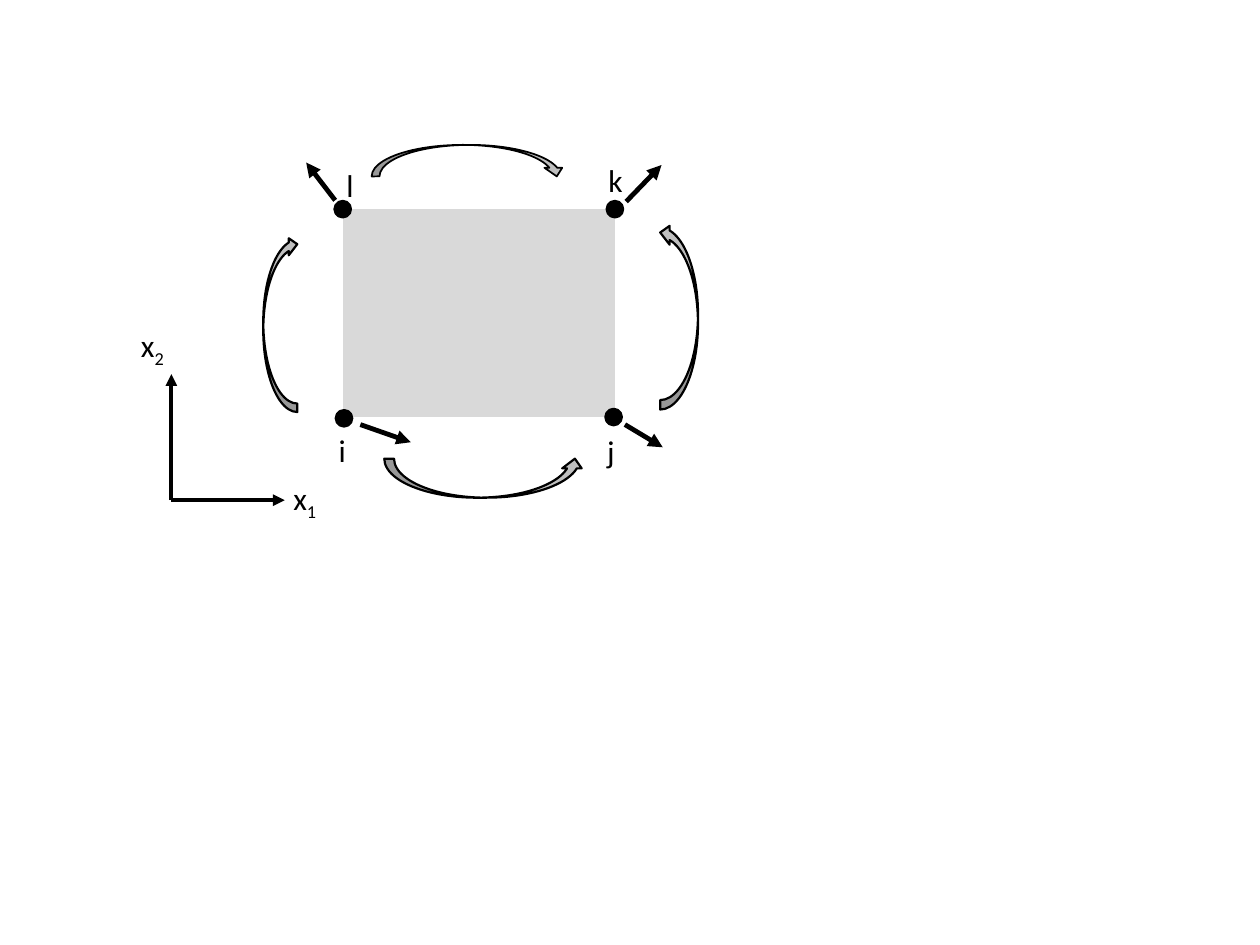
from pptx import Presentation
from pptx.dml.color import RGBColor
from pptx.enum.shapes import MSO_CONNECTOR, MSO_SHAPE as Preset
from pptx.enum.text import MSO_AUTO_SIZE
from pptx.oxml.ns import qn
from pptx.util import Inches, Pt
from lxml.etree import SubElement

COLORS = {"ink": "000000", "element": "D9D9D9", "arrow": "BFBFBF"}

presentation = Presentation()
presentation.slide_width = Inches(10)
presentation.slide_height = Inches(7.5)
slide = presentation.slides.add_slide(presentation.slide_layouts[6])


def add_filled(preset, left, top, width, height, fill, line_width=None):
    shape = slide.shapes.add_shape(
        preset, Inches(left), Inches(top), Inches(width), Inches(height))
    shape.shadow.inherit = False
    shape.fill.solid()
    shape.fill.fore_color.rgb = RGBColor.from_string(COLORS[fill])
    if line_width is None:
        shape.line.fill.background()
    else:
        shape.line.color.rgb = RGBColor.from_string(COLORS["ink"])
        shape.line.width = Pt(line_width)
    return shape


def add_arrow(start, end, width):
    arrow = slide.shapes.add_connector(
        MSO_CONNECTOR.STRAIGHT, *[Inches(value) for value in (*start, *end)])
    arrow.line.color.rgb = RGBColor.from_string(COLORS["ink"])
    arrow.line.width = Pt(width)
    SubElement(arrow.line._get_or_add_ln(), qn("a:tailEnd"), type="triangle")
    SubElement(arrow._element.spPr, qn("a:effectLst"))


element = add_filled(Preset.PARALLELOGRAM, 2.72, 1.66, 2.16, 1.65, "element")
element.adjustments[0] = 0

for left, top in [(2.67, 3.26), (4.81, 3.25), (2.66, 1.6), (4.82, 1.6)]:
    add_filled(Preset.OVAL, left, top, 0.12, 0.12, "ink", 2)

for start, end in [
    ((2.86, 3.37), (3.26, 3.51)),
    ((4.96, 3.37), (5.26, 3.55)),
    ((4.97, 1.6), (5.25, 1.31)),
    ((2.66, 1.59), (2.43, 1.29)),
]:
    add_arrow(start, end, 2.75)

top_arc = add_filled(Preset.CURVED_DOWN_ARROW, 2.95, 1.15, 1.54, 0.25, "arrow", 1)
for index, value in enumerate([0.25, 0.565, 0.273]):
    top_arc.adjustments[index] = value

left_arc = add_filled(Preset.CURVED_RIGHT_ARROW, 2.09, 1.87, 0.27, 1.4, "arrow", 1.25)
left_arc.rotation = 180
left_arc._element.spPr.xfrm.set("flipH", "1")

add_filled(Preset.CURVED_UP_ARROW, 3.05, 3.64, 1.59, 0.31, "arrow", 1.25)
right_arc = add_filled(Preset.CURVED_UP_ARROW, 4.65, 2.36, 1.48, 0.3, "arrow", 1.25)
right_arc.rotation = 270

origin = (1.36, 3.97)
for axis_end in [(1.36, 2.97), (2.26, 3.97)]:
    add_arrow(origin, axis_end, 2.25)

for letter, subscript, left, top, width in [
    ("x", "1", 2.23, 3.75, 0.44),
    ("x", "2", 1.02, 2.54, 0.42),
    ("i", "", 2.59, 3.37, 0.3),
    ("j", "", 4.72, 3.38, 0.3),
    ("k", "", 4.73, 1.23, 0.3),
    ("l", "", 2.65, 1.27, 0.3),
]:
    label = slide.shapes.add_textbox(
        Inches(left), Inches(top), Inches(width), Inches(0.4))
    label.text_frame.word_wrap = True
    label.text_frame.auto_size = MSO_AUTO_SIZE.SHAPE_TO_FIT_TEXT
    paragraph = label.text_frame.paragraphs[0]
    paragraph.font.name = "Calibri"
    paragraph.font.size = Pt(18)
    paragraph.font.color.rgb = RGBColor.from_string(COLORS["ink"])
    paragraph.add_run().text = letter
    if subscript:
        run = paragraph.add_run()
        run.text = subscript
        run.font._element.set("baseline", "-25000")

presentation.save("out.pptx")
